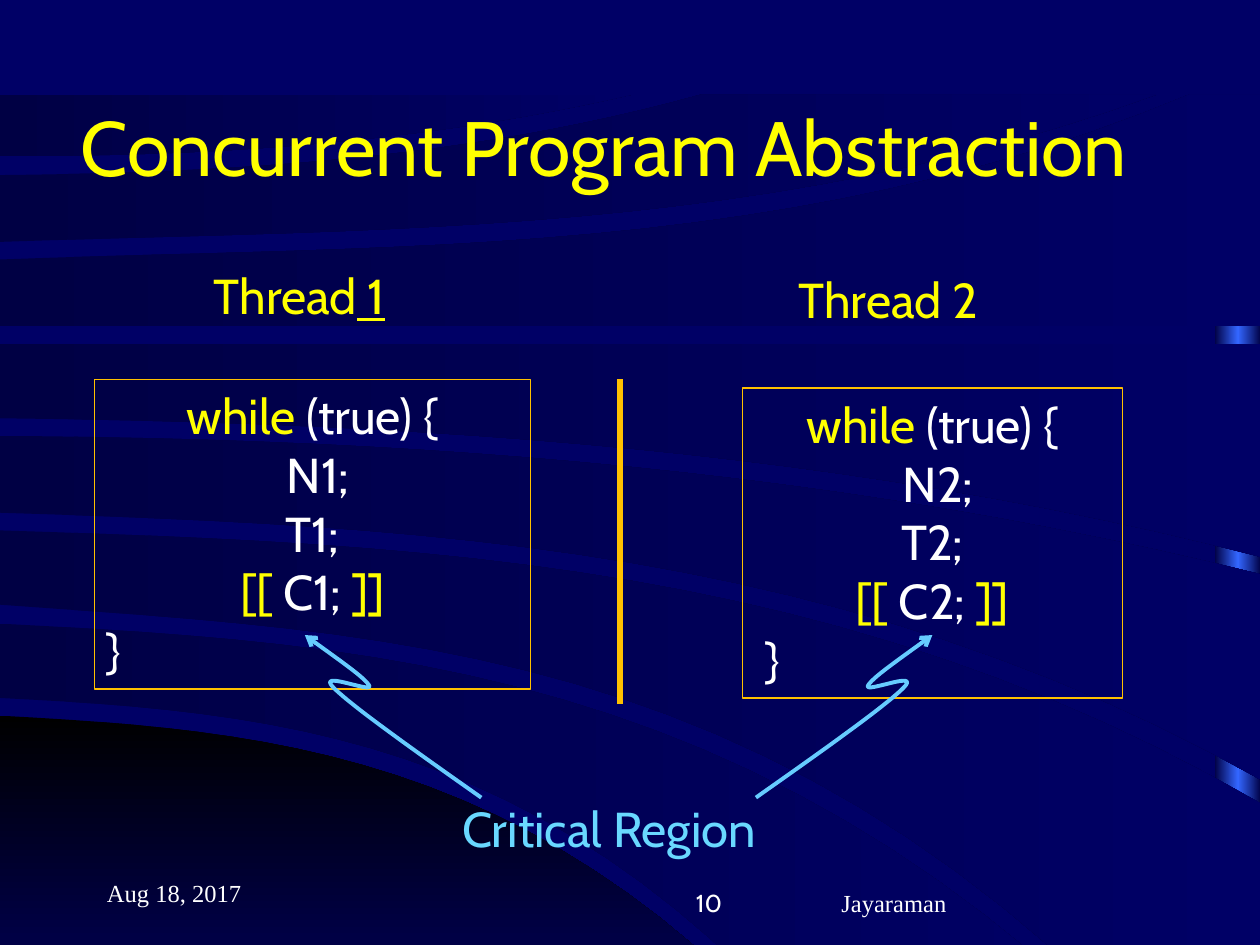
from copy import deepcopy
from math import prod

from lxml.etree import SubElement
from pptx import Presentation
from pptx.dml.color import RGBColor
from pptx.enum.shapes import MSO_CONNECTOR, MSO_SHAPE
from pptx.enum.text import MSO_ANCHOR, MSO_AUTO_SIZE, PP_ALIGN
from pptx.oxml.ns import qn
from pptx.util import Inches, Pt

NAVY = RGBColor(0x00, 0x00, 0x66)
DARK = RGBColor(0x00, 0x00, 0x44)
BLACK = RGBColor(0x00, 0x00, 0x00)
BLUE = RGBColor(0x33, 0x66, 0xFF)
YELLOW = RGBColor(0xFF, 0xFF, 0x00)
WHITE = RGBColor(0xFF, 0xFF, 0xFF)
AMBER = RGBColor(0xFF, 0xC0, 0x00)
SKY = RGBColor(0x66, 0xCC, 0xFF)
LIGHT_SKY = RGBColor(0x69, 0xD8, 0xFF)
SANS, SERIF = "Cabin", "Times New Roman"
LEFT, CENTER, RIGHT = PP_ALIGN.LEFT, PP_ALIGN.CENTER, PP_ALIGN.RIGHT

# Slide content: a span is (text, colour) or (text, colour, underlined)
TITLE = "Concurrent Program Abstraction"
LABELS = [  # left, top, width, height, spans
    (1.6, 2.06, 1.76, 0.57, [("Thread", YELLOW), (" 1", YELLOW, True)]),
    (6.24, 2.09, 1.76, 0.57, [("Thread 2", YELLOW)]),
    (3.57, 6.29, 2.67, 0.57, [("Critical Region", LIGHT_SKY)])]
FOOTERS = [  # left, top, width, text, font, alignment
    (0.75, 6.75, 2.08, "Aug 18, 2017", SERIF, LEFT),
    (6.58, 6.83, 3.17, "Jayaraman", SERIF, LEFT),
    (3.75, 6.83, 2.08, "10", SANS, RIGHT)]
THREADS = [  # number, left, top, width, closing line
    (1, 0.75, 3.01, 3.46, "}"),
    (2, 5.89, 3.08, 3.02, " }")]

# Left arrow: start point, then three control points per Bezier segment
ARROW = [(3.82, 6.33), (3.31, 5.97), (2.8, 5.61), (2.65, 5.46), (2.5, 5.31),
         (2.97, 5.51), (2.93, 5.44), (2.89, 5.37), (2.65, 5.21), (2.42, 5.04)]
MIRROR_AXIS = 4.91

# Backdrop edges: right end, then heights at equal steps from the left side
CORNER = [(6.29, 5.68, 5.89, 6.6, 8.27), (6.29, 8.27, 8.27)]
BANDS = [  # upper edge, lower edge, corner points between their right ends
    ((8.94, 4.95, 5.22, 6.12, 8.25), (6.43, 5.54, 5.75, 6.49, 8.25), []),
    ((10.01, 4.21, 4.39, 4.98, 6.38), (9.1, 4.8, 5.09, 6, 8.25), [(10.01, 8.25)]),
    ((10.01, 3.46, 3.57, 3.91, 4.56), (10.01, 4.07, 4.25, 4.83, 6.19), []),
    ((10.01, 2.73, 2.73), (10.01, 3.32, 3.43, 3.76, 4.42), []),
    ((9.44, 2.06, 1.96, 1.65, 0.75), (10.01, 2.59, 2.59), [(10.01, 0.75)]),
    ((5.57, 1.39, 1.33, 1.14, 0.75), (9.18, 1.92, 1.82, 1.53, 0.75), []),
    ((5.02, 0.75, 0.75), (5.02, 1.24, 1.2, 1.05, 0.75), [])]
STEPS = 24


def sample_edge(right, *heights):
    """Points of the polynomial through equally spaced heights."""
    knots = range(len(heights))
    points = []
    for step in range(STEPS + 1):
        t = step / STEPS * knots[-1]
        y = sum(heights[i] * prod((t - j) / (i - j) for j in knots if j != i) for i in knots)
        points.append((right * step / STEPS, y))
    return points


def sample_bezier(points):
    result = [points[0]]
    for start in range(0, len(points) - 1, 3):
        a, b, c, d = points[start:start + 4]
        for step in range(1, STEPS + 1):
            t = step / STEPS
            s = 1 - t
            result.append(tuple(s**3 * a[i] + 3 * s * s * t * b[i] + 3 * s * t * t * c[i]
                                + t**3 * d[i] for i in (0, 1)))
    return result


def add_outline(points, close):
    corners = [(Inches(x), Inches(y)) for x, y in points]
    builder = page.shapes.build_freeform(*corners[0])
    builder.add_line_segments(corners[1:], close=close)
    shape = builder.convert_to_shape()
    shape.shadow.inherit = False
    return shape


def add_band(upper, lower, corners=()):
    return add_outline(sample_edge(*upper) + list(corners) + sample_edge(*lower)[::-1], True)


def set_gradient(shape, first, last, angle=0):
    shape.line.fill.background()
    shape.fill.gradient()
    shape.fill.gradient_angle = angle
    for stop, color, position in zip(shape.fill.gradient_stops, (first, last), (0, 1)):
        stop.color.rgb = color
        stop.position = position


def add_spans(para, spans, size, font=SANS, align=LEFT):
    para.alignment = align
    for text, color, *underlined in spans:
        span = para.add_run()
        span.text = text
        span.font.size = Pt(size)
        span.font.name = font
        span.font.color.rgb = color
        if underlined:
            span.font.underline = True


def add_box(*place):
    return page.shapes.add_textbox(*map(Inches, place))


deck = Presentation()
deck.slide_width, deck.slide_height = Inches(10), Inches(7.5)
page = deck.slides.add_slide(deck.slide_layouts[5])

# Backdrop
page.background.fill.solid()
page.background.fill.fore_color.rgb = NAVY
glow = page.shapes.add_shape(MSO_SHAPE.RECTANGLE, Inches(9.64), Inches(0.77),
                             Inches(0.37), Inches(7.5))
glow.shadow.inherit = False
set_gradient(glow, DARK, DARK)
first_stop = glow._element.spPr.find(".//" + qn("a:gs"))
first_stop.addnext(deepcopy(first_stop))
middle = glow.fill.gradient_stops[1]
middle.color.rgb, middle.position = BLUE, 0.5
set_gradient(add_band(*CORNER), BLACK, NAVY, 270)
for band in BANDS:
    set_gradient(add_band(*band), DARK, NAVY)

# Title, moved in front of the backdrop
title = page.shapes.title
page.shapes._spTree.append(title._element)
title.left, title.top, title.width, title.height = map(Inches, (0.54, 0.74, 8.91, 0.84))
title.text_frame.vertical_anchor = MSO_ANCHOR.TOP
title.text_frame.auto_size = MSO_AUTO_SIZE.NONE
add_spans(title.text_frame.paragraphs[0], [(TITLE, YELLOW)], 44)

# Footer
for left, top, width, text, font, align in FOOTERS:
    frame = add_box(left, top, width, 0.5).text_frame
    frame.word_wrap = True
    frame.vertical_anchor = MSO_ANCHOR.BOTTOM
    add_spans(frame.paragraphs[0], [(text, WHITE)], 14, font, align)

# Labels
for *place, spans in LABELS:
    frame = add_box(*place).text_frame
    frame.word_wrap = False
    frame.auto_size = MSO_AUTO_SIZE.SHAPE_TO_FIT_TEXT
    add_spans(frame.paragraphs[0], spans, 28)

# Divider between the threads
divider = page.shapes.add_connector(MSO_CONNECTOR.STRAIGHT, Inches(4.92), Inches(3.01),
                                    Inches(4.92), Inches(5.59))
divider.line.color.rgb = AMBER
divider.line.width = Pt(3.75)
SubElement(divider._element.spPr, qn("a:effectLst"))

# Thread code
for number, left, top, width, closing in THREADS:
    code = page.shapes.add_shape(MSO_SHAPE.RECTANGLE, Inches(left), Inches(top),
                                 Inches(width), Inches(2.46))
    code.shadow.inherit = False
    code.fill.background()
    code.line.color.rgb = AMBER
    code.line.width = Pt(0.75)
    frame = code.text_frame
    frame.word_wrap = True
    frame.vertical_anchor = MSO_ANCHOR.TOP
    lines = [[("while", YELLOW), (" (true) {", WHITE)], [(f" N{number};", WHITE)],
             [(f"T{number};", WHITE)],
             [("[[ ", YELLOW), (f"C{number}; ", WHITE), ("]]", YELLOW)], [(closing, WHITE)]]
    for index, spans in enumerate(lines):
        para = frame.add_paragraph() if index else frame.paragraphs[0]
        add_spans(para, spans, 28, align=LEFT if spans is lines[-1] else CENTER)

# Curved arrows to the critical regions, mirrored about the middle
mirrored = [(2 * MIRROR_AXIS - x, y) for x, y in ARROW]
for points in (ARROW, mirrored):
    arrow = add_outline(sample_bezier(points), False)
    arrow.fill.background()
    arrow.line.color.rgb = SKY
    arrow.line.width = Pt(2.25)
    SubElement(arrow.line._get_or_add_ln(), qn("a:tailEnd"), type="arrow")

deck.save("out.pptx")
